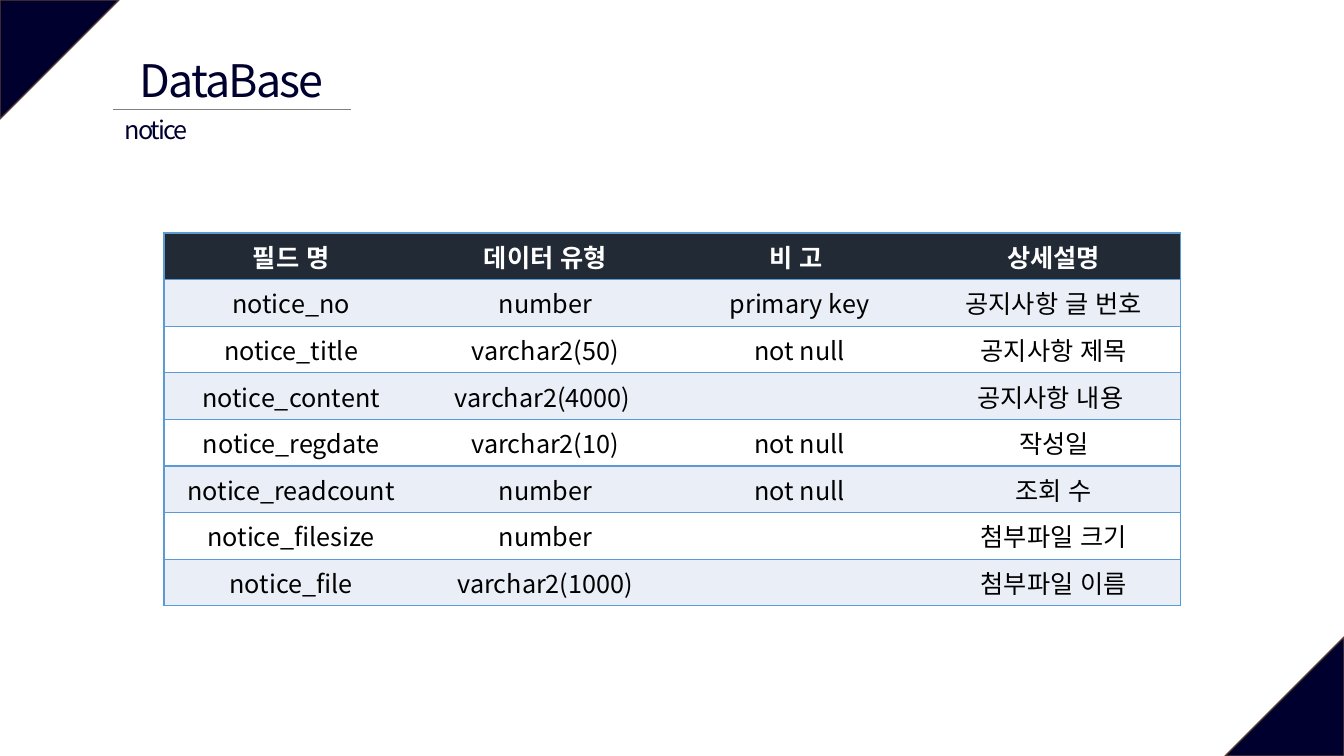
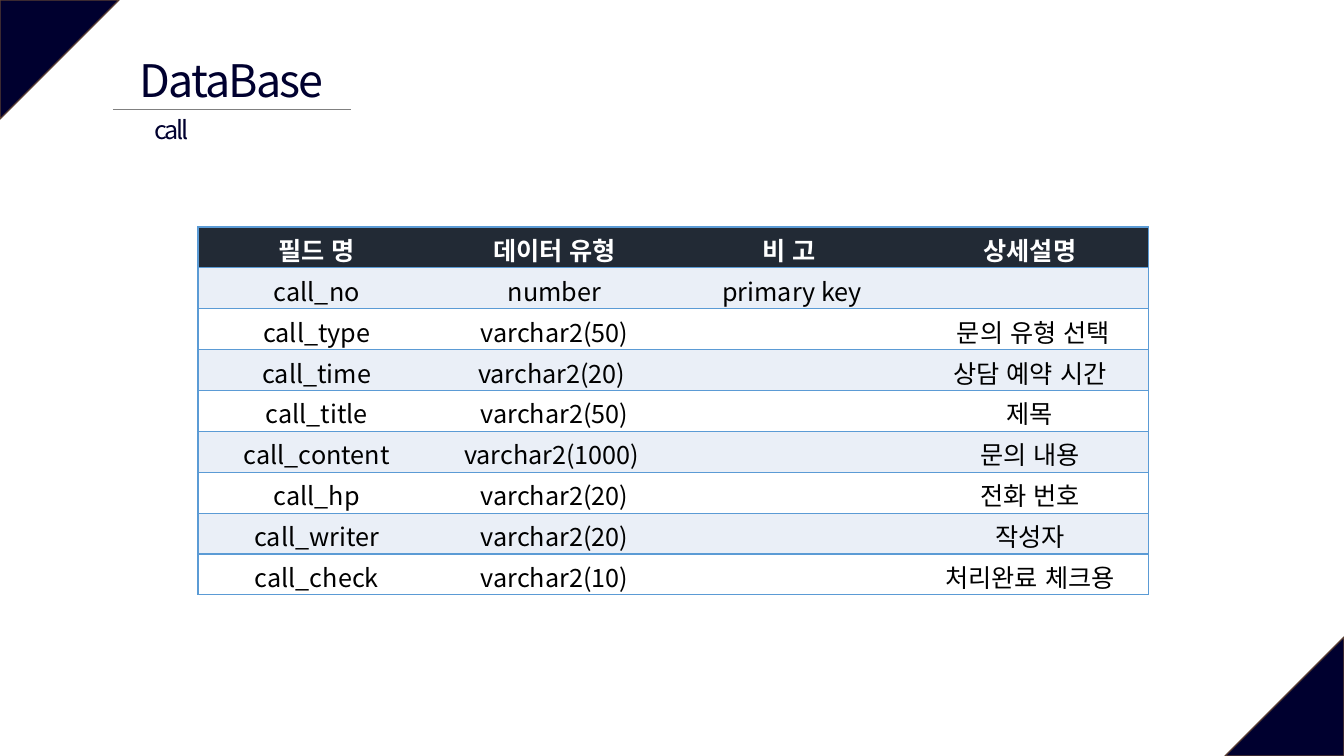
from dataclasses import dataclass
from typing import NamedTuple

from lxml import etree
from pptx import Presentation
from pptx.dml.color import RGBColor
from pptx.enum.lang import MSO_LANGUAGE_ID
from pptx.enum.shapes import MSO_CONNECTOR, MSO_SHAPE
from pptx.enum.text import MSO_ANCHOR, MSO_AUTO_SIZE, PP_ALIGN
from pptx.oxml.ns import qn
from pptx.util import Emu, Pt

STRAIGHT = MSO_CONNECTOR.STRAIGHT
RIGHT_TRIANGLE = MSO_SHAPE.RIGHT_TRIANGLE
MIDDLE = MSO_ANCHOR.MIDDLE
GROW = MSO_AUTO_SIZE.SHAPE_TO_FIT_TEXT
CENTER, LEFT = PP_ALIGN.CENTER, PP_ALIGN.LEFT
KOREAN = MSO_LANGUAGE_ID.KOREAN

NAVY = RGBColor(0x00, 0x00, 0x2F)
BROWN = RGBColor(0x5B, 0x3F, 0x33)
GREY = RGBColor(0x80, 0x80, 0x80)
BLUE = RGBColor(0x5B, 0x9B, 0xD5)
HEADER_FILL = RGBColor(0x22, 0x2A, 0x35)
BAND_FILL = RGBColor(0xEA, 0xEF, 0xF7)
WHITE = RGBColor(0xFF, 0xFF, 0xFF)
BLACK = RGBColor(0x00, 0x00, 0x00)

FONT = "Noto Sans CJK KR"
TITLE_ONLY = 5
PAGE_WIDTH, PAGE_HEIGHT = 1344, 756
CORNER = 119
EMU_PER_PX = 12192000 / PAGE_WIDTH


class Box(NamedTuple):
    left: int
    top: int
    width: int
    height: int


class Field(NamedTuple):
    name: str
    data_type: str
    note: str
    description: str


@dataclass(frozen=True)
class TablePage:
    subtitle: str
    subtitle_box: Box
    subtitle_align: PP_ALIGN
    table_box: Box
    margin_top: int
    margin_bottom: int
    fields: tuple[Field, ...]


TITLE_BOX = Box(116, 48, 231, 63)
HEADER = Field("필드 명", "데이터 유형", "비 고 ", "상세설명")

PAGES = (
    TablePage("notice", Box(115, 109, 93, 40), LEFT, Box(164, 233, 1017, 373), 5, 5, (
        Field("notice_no", "number", "primary key", "공지사항 글 번호"),
        Field("notice_title", "varchar2(50)", "not null", "공지사항 제목"),
        Field("notice_content", "varchar2(4000) ", "", "공지사항 내용 "),
        Field("notice_regdate", "varchar2(10)", "not null", "작성일"),
        Field("notice_readcount", "number", "not null", "조회 수"),
        Field("notice_filesize", "number", "", "첨부파일 크기"),
        Field("notice_file", "varchar2(1000)", "", "첨부파일 이름"),
    )),
    TablePage("call", Box(141, 109, 61, 40), CENTER, Box(198, 227, 951, 368), 4, 0, (
        Field("call_no", "number", "primary key", ""),
        Field("call_type", "varchar2(50)", "", " 문의 유형 선택"),
        Field("call_time", "varchar2(20) ", "", "상담 예약 시간"),
        Field("call_title", "varchar2(50)", "", "제목"),
        Field("call_content", "varchar2(1000) ", "", "문의 내용"),
        Field("call_hp", "varchar2(20)", "", "전화 번호"),
        Field("call_writer", "varchar2(20)", "", "작성자"),
        Field("call_check", "varchar2(10)", "", "처리완료 체크용"),
    )),
)


def px(length: int) -> Emu:
    return Emu(round(length * EMU_PER_PX))


def write(text_frame, text: str, size: int, color: RGBColor, align: PP_ALIGN,
          bold: bool = False, spacing: int = 0) -> None:
    """Fill a frame with one paragraph; spacing is in hundredths of a point."""
    text_frame.text = text
    para = text_frame.paragraphs[0]
    para.alignment = align
    for span in para.runs:
        span.font.size = Pt(size)
        span.font.bold = bold
        span.font.color.rgb = color
        span.font.name = FONT
        span.font.language_id = KOREAN
        properties = span._r.get_or_add_rPr()
        etree.SubElement(properties, qn("a:ea"), typeface=FONT)
        if spacing:
            properties.set("spc", str(spacing))


def write_heading(shape, box: Box, text: str, size: int, align: PP_ALIGN,
                  spacing: int) -> None:
    shape.left, shape.top, shape.width, shape.height = map(px, box)
    frame = shape.text_frame
    frame.word_wrap = False
    frame.auto_size = GROW
    frame.vertical_anchor = MIDDLE
    write(frame, text, size, NAVY, align, spacing=spacing)


def add_corners(page, layout) -> None:
    """Draw the two corner triangles and hand them to the layout."""
    corners = ((0, 0, 90), (PAGE_WIDTH - CORNER, PAGE_HEIGHT - CORNER, 270))
    for left, top, rotation in corners:
        corner = page.shapes.add_shape(
            RIGHT_TRIANGLE, px(left), px(top), px(CORNER), px(CORNER))
        corner.rotation = rotation
        corner.shadow.inherit = False
        corner.fill.solid()
        corner.fill.fore_color.rgb = NAVY
        corner.line.color.rgb = BROWN
        corner.line.width = Pt(1)
        layout.shapes.element.append(corner.element)


def add_title_rule(page) -> None:
    rule = page.shapes.add_connector(STRAIGHT, px(113), px(109), px(351), px(109))
    rule.line.color.rgb = GREY
    rule.line.width = Pt(0.5)
    etree.SubElement(rule.element.spPr, qn("a:effectLst"))


def set_borders(cell, sides: str) -> None:
    """Draw blue lines on the named sides (L, R, T, B) and clear the others."""
    properties = cell._tc.get_or_add_tcPr()
    for position, side in enumerate("LRTB"):
        line = etree.Element(qn(f"a:ln{side}"), w=str(Pt(1)))
        if side in sides:
            fill = etree.SubElement(line, qn("a:solidFill"))
            etree.SubElement(fill, qn("a:srgbClr"), val=str(BLUE))
        else:
            etree.SubElement(line, qn("a:noFill"))
        properties.insert(position, line)


def add_field_table(page, content: TablePage) -> None:
    rows = (HEADER, *content.fields)
    last = len(HEADER) - 1
    # add_table shares the width and height equally among columns and rows.
    table = page.shapes.add_table(
        len(rows), len(HEADER), *map(px, content.table_box)).table
    table.first_row = table.horz_banding = False
    for row_index, field in enumerate(rows):
        is_header = row_index == 0
        band = BAND_FILL if row_index % 2 else WHITE
        for column_index, text in enumerate(field):
            cell = table.cell(row_index, column_index)
            cell.margin_top = px(content.margin_top)
            cell.margin_bottom = px(content.margin_bottom)
            cell.vertical_anchor = MIDDLE
            cell.fill.solid()
            cell.fill.fore_color.rgb = HEADER_FILL if is_header else band
            write(cell.text_frame, text, 18, WHITE if is_header else BLACK,
                  CENTER, bold=is_header)
            outer = {0: "L", last: "R"}.get(column_index, "")
            set_borders(cell, "TB" + outer)


def add_table_page(deck, layout, content: TablePage) -> None:
    page = deck.slides.add_slide(layout)
    write_heading(page.shapes.title, TITLE_BOX, "DataBase", 32, CENTER, -130)
    subtitle = page.shapes.add_textbox(*map(px, content.subtitle_box))
    write_heading(subtitle, content.subtitle_box, content.subtitle, 18,
                  content.subtitle_align, -150)
    add_field_table(page, content)
    add_title_rule(page)


def main() -> None:
    deck = Presentation()
    deck.slide_width, deck.slide_height = px(PAGE_WIDTH), px(PAGE_HEIGHT)
    layout = deck.slide_layouts[TITLE_ONLY]
    for content in PAGES:
        add_table_page(deck, layout, content)
    add_corners(deck.slides[0], layout)
    deck.save("out.pptx")


if __name__ == "__main__":
    main()
